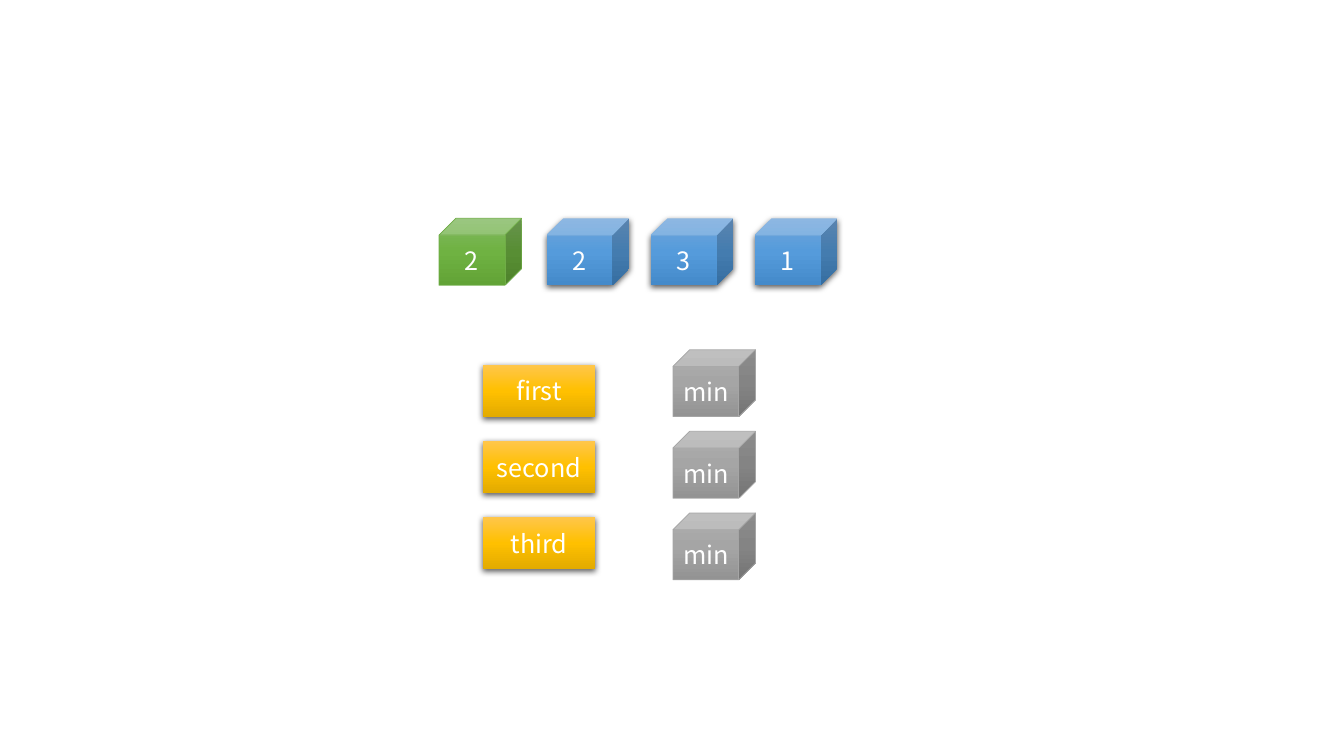
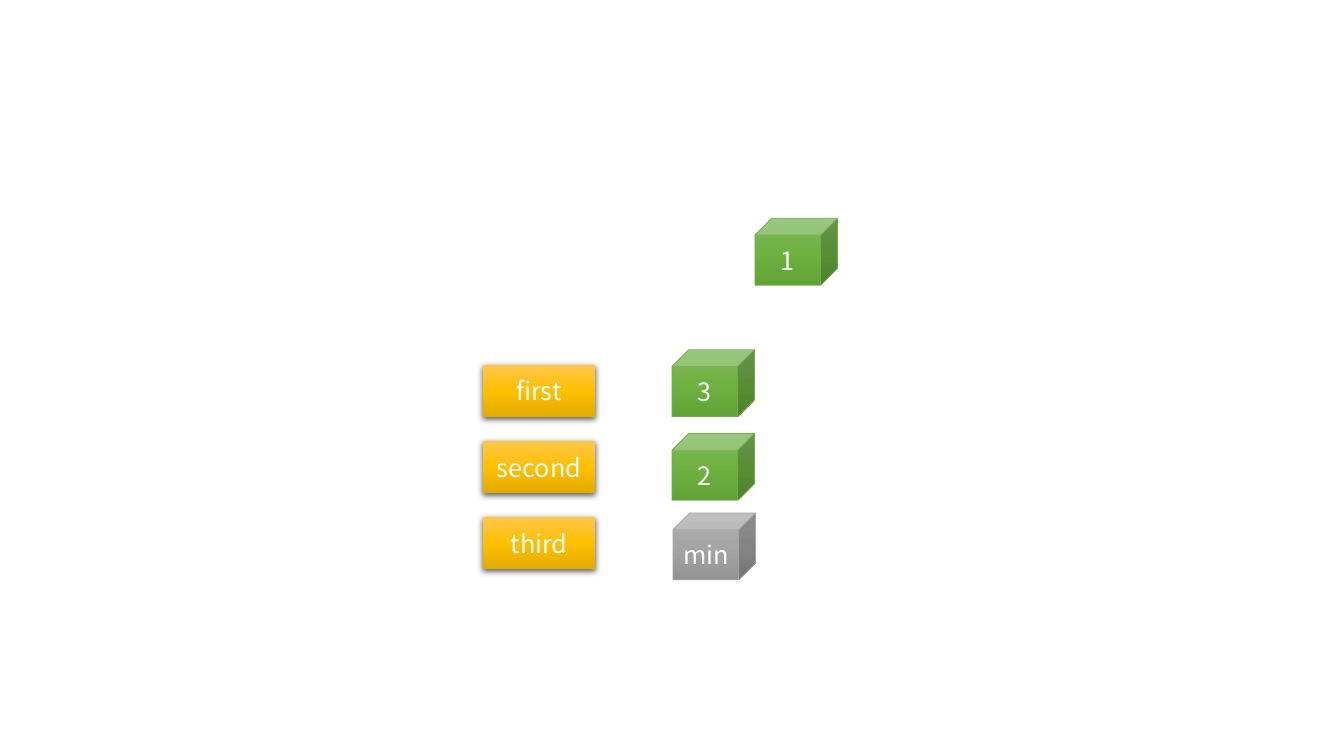
import copy
import dataclasses

import pptx
import pptx.dml.color
import pptx.enum.shapes
import pptx.enum.text
import pptx.oxml
import pptx.oxml.ns
import pptx.util

Pt = pptx.util.Pt
CUBE = pptx.enum.shapes.MSO_SHAPE.CUBE
RECTANGLE = pptx.enum.shapes.MSO_SHAPE.RECTANGLE


@dataclasses.dataclass(frozen=True)
class Style:
    gradient: tuple
    outline: str = ""  # an unlined style casts a shadow instead


@dataclasses.dataclass(frozen=True)
class Theme:
    font: str = "Noto Sans CJK SC"
    size: float = 18
    text: str = "FFFFFF"
    active: Style = Style(("81B861", "6FB242", "62A336"), "70AD47")
    waiting: Style = Style(("71A6DB", "559BDB", "448ACA"))
    rank: Style = Style(("FFC64B", "FFC000", "E3AB00"))
    unset: Style = Style(("AFAFAF", "A5A5A5", "939393"), "A5A5A5")


THEME = Theme()

# Layout, in points
CUBE_SIZE = (59, 47.8)
RANK_SIZE = (80, 37)
QUEUE_LEFT, QUEUE_TOP, QUEUE_STEP = 390.4, 156, 74.4
CURRENT_LEFT = 313.6
RANK_LEFT, RANK_TOP, RANK_STEP = 345, 260.7, 54.3
VALUE_LEFT, VALUE_TOP, VALUE_STEP = 480.7, 249.8, 58.3
FOUND_LEFT, FOUND_STEP = 480, 59.8

SHADOW = (
    f'<a:outerShdw {pptx.oxml.ns.nsdecls("a")} blurRad="{Pt(4.5)}" dist="{Pt(1.5)}" '
    'dir="5400000" algn="ctr" rotWithShape="0">'
    '<a:srgbClr val="000000"><a:alpha val="63000"/></a:srgbClr></a:outerShdw>'
)


def rgb(value):
    return pptx.dml.color.RGBColor.from_string(value)


def fill_gradient(shape, colours):
    """Fill from top to bottom with three evenly spaced colours."""
    shape.fill.gradient()
    shape.fill.gradient_angle = 270
    stops = shape._element.spPr.find(".//" + pptx.oxml.ns.qn("a:gsLst"))
    stops.insert(1, copy.deepcopy(stops[0]))
    for index, (stop, colour) in enumerate(zip(shape.fill.gradient_stops, colours)):
        stop.position = index / 2
        stop.color.rgb = rgb(colour)


def add_block(slide, kind, label, left, top, size, style):
    block = slide.shapes.add_shape(kind, Pt(left), Pt(top), *map(Pt, size))
    fill_gradient(block, style.gradient)
    block.shadow.inherit = False
    if style.outline:
        block.line.color.rgb = rgb(style.outline)
        block.line.width = Pt(0.5)
    else:
        block.line.fill.background()
        effects = block._element.spPr.find(pptx.oxml.ns.qn("a:effectLst"))
        effects.append(pptx.oxml.parse_xml(SHADOW))
    # Label
    block.text_frame.text = label
    block.text_frame.vertical_anchor = pptx.enum.text.MSO_ANCHOR.MIDDLE
    paragraph = block.text_frame.paragraphs[0]
    paragraph.alignment = pptx.enum.text.PP_ALIGN.CENTER
    paragraph.font.name = THEME.font
    paragraph.font.size = Pt(THEME.size)
    paragraph.font.color.rgb = rgb(THEME.text)


def add_cube(slide, label, left, top, style):
    add_block(slide, CUBE, label, left, top, CUBE_SIZE, style)


def add_queue_cube(slide, label, position, style):
    add_cube(slide, label, QUEUE_LEFT + position * QUEUE_STEP, QUEUE_TOP, style)


def add_ranks(slide):
    for row, rank in enumerate(("first", "second", "third")):
        add_block(slide, RECTANGLE, rank, RANK_LEFT, RANK_TOP + row * RANK_STEP,
                  RANK_SIZE, THEME.rank)


def add_unset_value(slide, row):
    add_cube(slide, "min", VALUE_LEFT, VALUE_TOP + row * VALUE_STEP, THEME.unset)


def add_found_value(slide, label, row):
    add_cube(slide, label, FOUND_LEFT, VALUE_TOP + row * FOUND_STEP, THEME.active)


def build_start(slide):
    # Numbers to read, the current one in front
    add_cube(slide, "2", CURRENT_LEFT, QUEUE_TOP, THEME.active)
    for position, number in enumerate("231"):
        add_queue_cube(slide, number, position, THEME.waiting)
    # Ranks, none of them found yet
    add_ranks(slide)
    for row in range(3):
        add_unset_value(slide, row)


def build_last_number(slide):
    # Two values found, the last number still to place
    add_found_value(slide, "2", 1)
    add_found_value(slide, "3", 0)
    add_queue_cube(slide, "1", 2, THEME.active)
    # Ranks, the third still open
    add_ranks(slide)
    add_unset_value(slide, 2)


def main():
    deck = pptx.Presentation()
    deck.slide_width, deck.slide_height = Pt(960), Pt(540)
    blank = deck.slide_layouts[6]
    for build in (build_start, build_last_number):
        build(deck.slides.add_slide(blank))
    deck.save("out.pptx")


if __name__ == "__main__":
    main()
